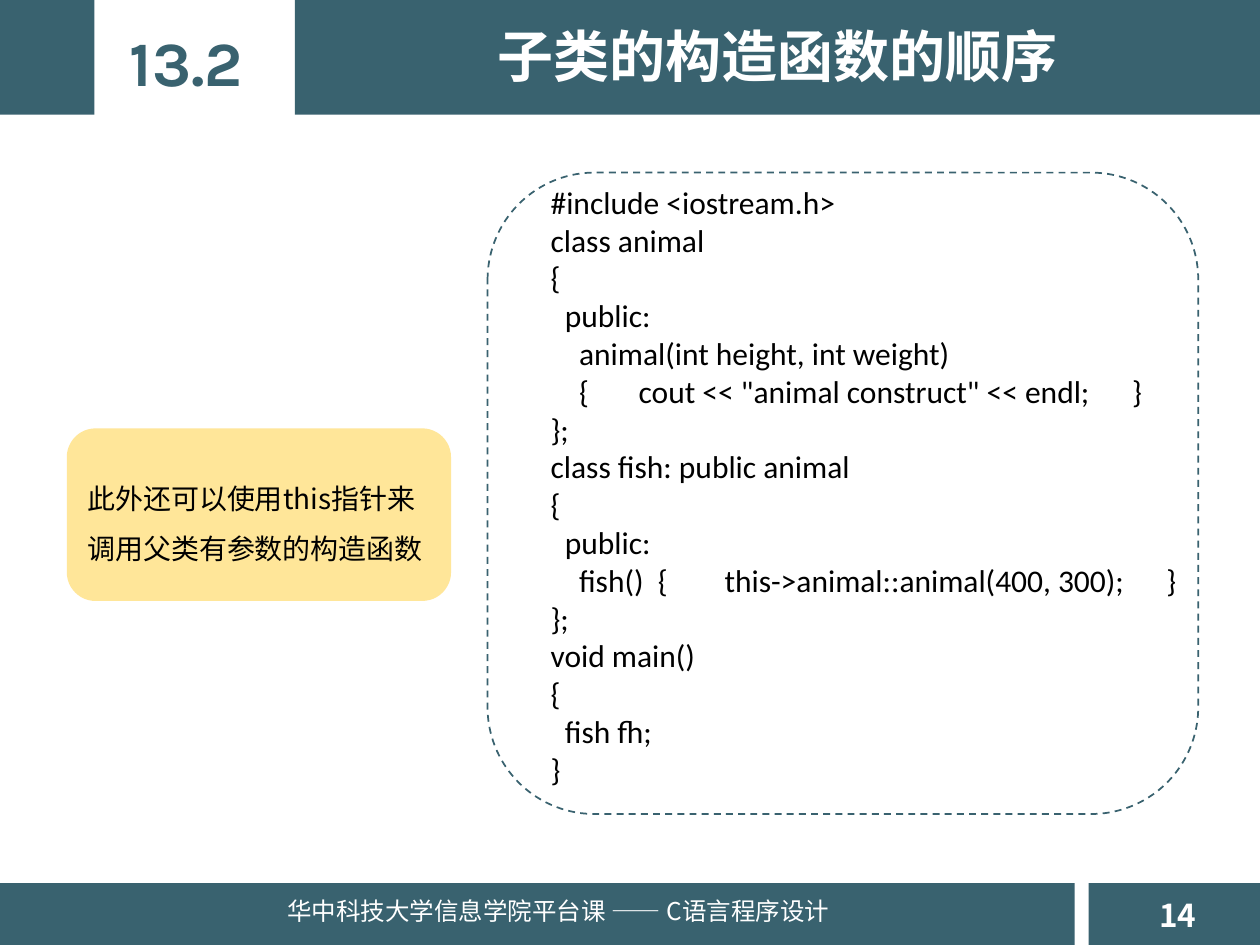
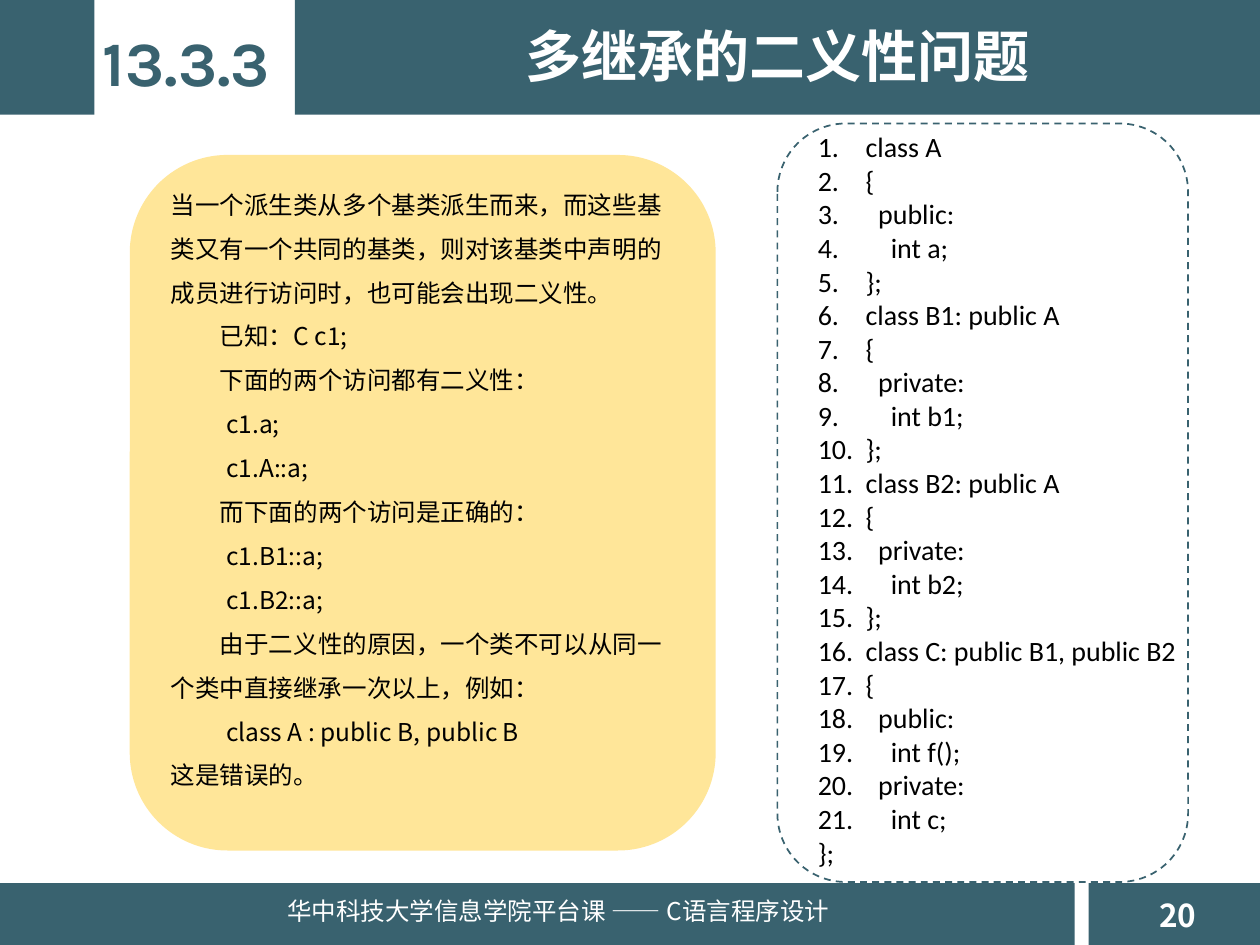
from pptx import Presentation
from pptx.dml.color import RGBColor
from pptx.enum.dml import MSO_LINE
from pptx.enum.shapes import MSO_SHAPE
from pptx.enum.text import MSO_ANCHOR, MSO_AUTO_SIZE, PP_ALIGN
from pptx.oxml.ns import qn
from pptx.util import Inches, Pt

RECT, ROUND = MSO_SHAPE.RECTANGLE, MSO_SHAPE.ROUNDED_RECTANGLE
LEFT, MID, JUST = PP_ALIGN.LEFT, PP_ALIGN.CENTER, PP_ALIGN.JUSTIFY
TOP, MIDDLE = MSO_ANCHOR.TOP, MSO_ANCHOR.MIDDLE
FIXED, DASH = MSO_AUTO_SIZE.NONE, MSO_LINE.DASH

TEAL = RGBColor(0x39, 0x62, 0x6F)
CREAM = RGBColor(0xFF, 0xE6, 0x99)
WHITE = RGBColor(0xFF, 0xFF, 0xFF)
BLACK = RGBColor(0, 0, 0)
HAN, CODE, DIGIT = "Noto Sans CJK SC", "Calibri", "Karla"

COLS, ROWS = 100, 75
WIDE, HIGH = Inches(10), Inches(7.5)

BANDS = [(0, 0, 7.5, 9.1), (23.4, 0, 76.6, 9.1),
         (0, 70.1, 85.3, 4.9), (86.4, 70.1, 13.6, 4.9)]
FOOT = "华中科技大学信息学院平台课 —— C语言程序设计"

FISH = """#include <iostream.h>
class animal
{
  public:
    animal(int height, int weight)
    {       cout << "animal construct" << endl;      }
};
class fish: public animal
{
  public:
    fish()  {        this->animal::animal(400, 300);      }
};
void main()
{
  fish fh;
}"""

CLASSES = """class A
{
  public:
    int a;
};
class B1: public A
{
  private:
    int b1;
};
class B2: public A
{
  private:
    int b2;
};
class C: public B1, public B2
{
  public:
    int f();
  private:
    int c;
};"""

THIS = [("此外还可以使用this指针来调用父类有参数的构造函数", 0)]
# Each line of a note comes with its first-line indent in inches.
TWICE = [
    ("当一个派生类从多个基类派生而来，而这些基类又有一个共同的基类，"
     "则对该基类中声明的成员进行访问时，也可能会出现二义性。", 0),
    ("已知：C c1;", 0.39),
    ("下面的两个访问都有二义性：", 0.39),
    ("c1.a;", 0.44),
    ("c1.A::a;", 0.44),
    ("而下面的两个访问是正确的：", 0.39),
    ("c1.B1::a;", 0.44),
    ("c1.B2::a;", 0.44),
    ("由于二义性的原因，一个类不可以从同一个类中直接继承一次以上，例如：", 0.39),
    ("class A : public B, public B", 0.44),
    ("这是错误的。", 0),
]

PAGES = [
    dict(part="13.2", title="子类的构造函数的顺序", page="14",
         code=FISH, size=18, listed=False,
         area=(42.7, 14, 53.9, 49.5), frame=(38.7, 13.7, 56.4, 50.9),
         note=THIS, card=(5.3, 34, 30.5, 13.7), nsize=16, lead=28.6, foot=0.05),
    dict(part="13.3.3", title="多继承的二义性问题", page="20",
         code=CLASSES, size=16, listed=True,
         area=(63.9, 9.8, 32.3, 60.2), frame=(61.7, 9.8, 32.6, 60.2),
         note=TWICE, card=(10.3, 12.3, 46.5, 55.2), nsize=14, lead=25.1, foot=0.37),
]


def grid(x, y, w, h):
    """Turn columns and rows of the slide grid into lengths."""
    return (int(WIDE * x / COLS), int(HIGH * y / ROWS),
            int(WIDE * w / COLS), int(HIGH * h / ROWS))


def write(shape, lines, size, font=HAN, color=BLACK, bold=False, align=LEFT,
          anchor=TOP, wrap=True, lead=None, listed=False):
    """Fill a shape with (text, first-line indent) pairs."""
    frame = shape.text_frame
    frame.word_wrap, frame.auto_size = wrap, FIXED
    frame.vertical_anchor = anchor
    for i, (text, inset) in enumerate(lines):
        para = frame.paragraphs[0] if i == 0 else frame.add_paragraph()
        para.alignment = align
        para.space_before = Pt(0)
        if lead:
            para.line_spacing = Pt(lead)
        props = para._p.get_or_add_pPr()
        hang = listed and i < len(lines) - 1
        props.set("marL", str(Inches(0.38) if hang else 0))
        props.set("indent", str(Inches(-0.38 if hang else inset)))
        if hang:
            mark = props.makeelement(qn("a:buAutoNum"), {"type": "arabicPeriod"})
        else:
            mark = props.makeelement(qn("a:buNone"), {})
        props.append(mark)
        run = para.add_run()
        run.text = text
        run.font.size, run.font.bold = Pt(size), bold
        run.font.name, run.font.color.rgb = font, color
    for props in shape.element.iter(qn("a:rPr")):
        props.append(props.makeelement(qn("a:ea"), {"typeface": font}))


deck = Presentation()
deck.slide_width, deck.slide_height = WIDE, HIGH

for page in PAGES:
    slide = deck.slides.add_slide(deck.slide_layouts[1])
    shapes = slide.shapes
    title, body = shapes.title, slide.placeholders[1]

    for band in BANDS:
        bar = shapes.add_shape(RECT, *grid(*band))
        bar.shadow.inherit = False
        bar.fill.solid()
        bar.fill.fore_color.rgb = TEAL
        bar.line.fill.background()

    # Text over the bands: page number, footer, section number
    for text, area, size, look in [
        (page["page"], (91, 70.6, 5.5, 4), 18, dict(color=WHITE, bold=True)),
        (FOOT, (21.8, 70.6, 46, 3.4), 14, dict(color=WHITE)),
        (page["part"], (6.6, 1.4, 16.4, 7.1), 36,
         dict(font=DIGIT, color=TEAL, bold=True, align=MID)),
    ]:
        label = shapes.add_textbox(*grid(*area))
        write(label, [(text, 0)], size, wrap=False, **look)

    # Placeholders go in front of the bands
    for holder, area in [(title, (31.6, 1.2, 60.2, 6.4)), (body, page["area"])]:
        shapes.element.append(holder.element)
        holder.left, holder.top, holder.width, holder.height = grid(*area)
    title.text_frame.margin_top = title.text_frame.margin_bottom = 0
    write(title, [(page["title"], 0)], 32, color=WHITE, bold=True,
          align=MID, anchor=MIDDLE)
    write(body, [(line, 0) for line in page["code"].split("\n")], page["size"],
          font=CODE, listed=page["listed"])

    frame = shapes.add_shape(ROUND, *grid(*page["frame"]))
    frame.shadow.inherit = False
    frame.fill.background()
    frame.line.color.rgb = TEAL
    frame.line.width, frame.line.dash_style = Pt(1), DASH

    card = shapes.add_shape(ROUND, *grid(*page["card"]))
    card.shadow.inherit = False
    card.fill.solid()
    card.fill.fore_color.rgb = CREAM
    card.line.fill.background()
    card.text_frame.margin_bottom = Inches(page["foot"])
    write(card, page["note"], page["nsize"], anchor=MIDDLE, lead=page["lead"])

deck.save("out.pptx")
